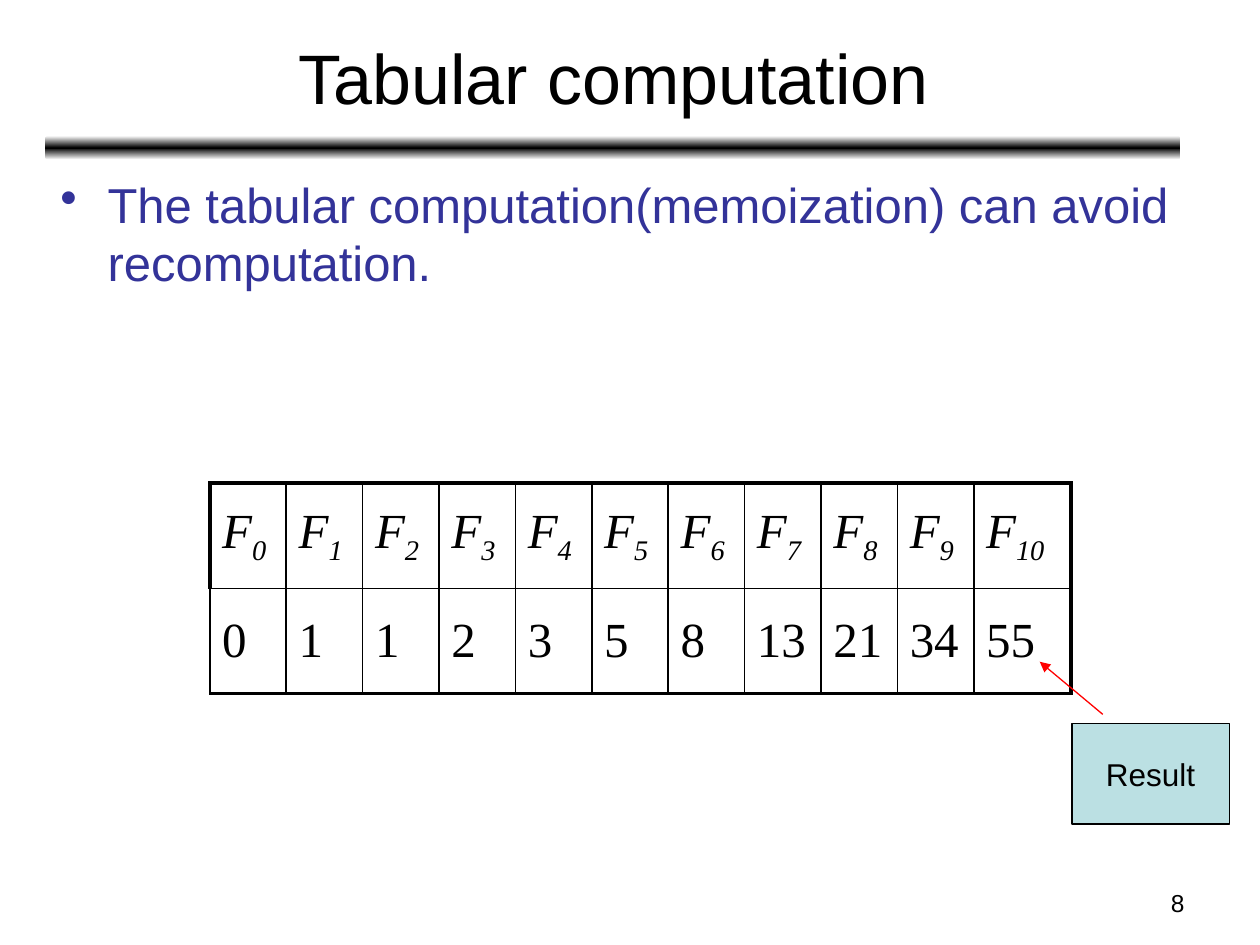
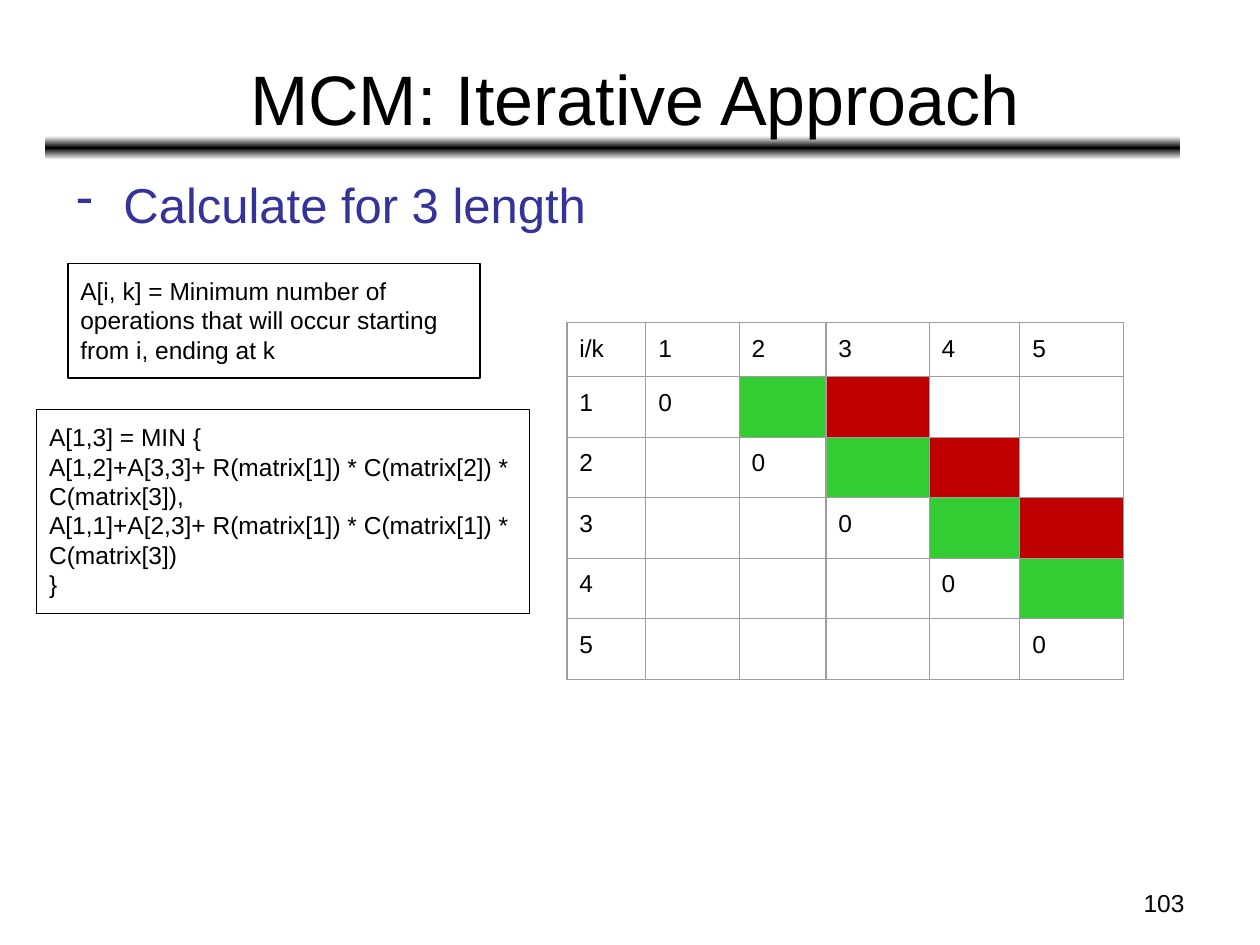
from copy import deepcopy

from lxml.etree import SubElement
from pptx import Presentation
from pptx.dml.color import RGBColor
from pptx.enum.shapes import MSO_CONNECTOR, MSO_SHAPE
from pptx.enum.text import MSO_ANCHOR, PP_ALIGN
from pptx.oxml.ns import qn
from pptx.util import Cm, Pt

COLORS = {
    "ink": "000000",
    "paper": "FFFFFF",
    "body": "333399",
    "result": "BBE0E3",
    "arrow": "FF0000",
    "grid": "9E9E9E",
    "solved": "33CC33",
    "current": "C00000",
}
SANS, SERIF = "Arial", "Times New Roman"
BODY_BOX = (0.97, 3.38, 22.86, 14.1)


def color(name):
    return RGBColor.from_string(COLORS[name])


def style(paragraph, size, face=SANS, ink="ink", italic=False):
    paragraph.font.size = Pt(size)
    paragraph.font.name = face
    paragraph.font.italic = italic
    paragraph.font.color.rgb = color(ink)


def set_margins(holder, side, end):
    holder.margin_left = holder.margin_right = Cm(side)
    holder.margin_top = holder.margin_bottom = Cm(end)


def write(frame, lines, size, align=PP_ALIGN.LEFT, anchor=MSO_ANCHOR.TOP, inset=0.13):
    frame.word_wrap = True
    frame.vertical_anchor = anchor
    set_margins(frame, 0.25, inset)
    for number, line in enumerate(lines):
        paragraph = frame.add_paragraph() if number else frame.paragraphs[0]
        paragraph.text = line
        paragraph.alignment = align
        style(paragraph, size)


def add_text(slide, box, line, size, **layout):
    frame = slide.shapes.add_textbox(*map(Cm, box)).text_frame
    write(frame, [line], size, **layout)
    return frame.paragraphs[0]


def add_band(slide, box):
    band = slide.shapes.add_shape(MSO_SHAPE.ROUNDED_RECTANGLE, *map(Cm, box))
    band.shadow.inherit = False
    band.line.fill.background()
    band.fill.gradient()
    band.fill.gradient_angle = 90
    first = band._element.spPr.find(".//" + qn("a:gs"))
    first.addnext(deepcopy(first))
    for stop, position, shade in zip(
        band.fill.gradient_stops, (0, 0.5, 1), ("paper", "ink", "paper")
    ):
        stop.position = position
        stop.color.rgb = color(shade)


def add_frame(slide, title, title_corner, page):
    add_band(slide, (0.91, 2.74, 22.89, 0.48))
    add_text(slide, (*title_corner, 22.86, 2.51), title, 40,
             align=PP_ALIGN.CENTER, anchor=MSO_ANCHOR.MIDDLE)
    add_text(slide, (18.21, 17.78, 5.92, 0.89), page, 14, align=PP_ALIGN.RIGHT)


def add_bullet(slide, box, line, mark, indent):
    paragraph = add_text(slide, box, line, 28)
    properties = paragraph._p.get_or_add_pPr()
    properties.set("marL", str(Cm(indent)))
    properties.set("indent", str(Cm(-0.95)))
    bullet = properties.makeelement(qn("a:buChar"), {"char": mark})
    properties.insert(0, bullet)
    style(paragraph, 28, ink="body")


def add_panel(slide, box, lines, size, fill=None, **layout):
    panel = slide.shapes.add_shape(MSO_SHAPE.RECTANGLE, *map(Cm, box))
    panel.shadow.inherit = False
    if fill:
        panel.fill.solid()
        panel.fill.fore_color.rgb = color(fill)
    else:
        panel.fill.background()
    panel.line.color.rgb = color("ink")
    panel.line.width = Pt(0.75)
    write(panel.text_frame, lines, size, **layout)


def add_arrow(slide, start, end):
    arrow = slide.shapes.add_connector(MSO_CONNECTOR.STRAIGHT, *map(Cm, start + end))
    arrow.line.color.rgb = color("arrow")
    arrow.line.width = Pt(0.75)
    SubElement(arrow.line._get_or_add_ln(), qn("a:tailEnd"), type="triangle")
    SubElement(arrow._element.spPr, qn("a:effectLst"))


def add_grid(slide, corner, widths, heights):
    size = sum(widths), sum(heights)
    table = slide.shapes.add_table(
        len(heights), len(widths), *map(Cm, corner + size)
    ).table
    table.first_row = table.horz_banding = False
    for column, width in zip(table.columns, widths):
        column.width = Cm(width)
    for row, height in zip(table.rows, heights):
        row.height = Cm(height)
    for cell in table.iter_cells():
        cell.fill.background()
    return table


def set_borders(cell, shade, widths):
    properties = cell._tc.get_or_add_tcPr()
    for position, (side, width) in enumerate(zip("LRTB", widths)):
        edge = properties.makeelement(qn(f"a:ln{side}"), {"w": str(Pt(width))})
        fill = SubElement(edge, qn("a:solidFill"))
        SubElement(fill, qn("a:srgbClr"), val=COLORS[shade])
        properties.insert(position, edge)


def add_fibonacci_table(slide, corner):
    values = [0, 1]
    while len(values) < 11:
        values.append(values[-2] + values[-1])
    last = len(values) - 1
    table = add_grid(slide, corner, [1.54] * last + [1.96], [2.12] * 2)
    thin, thick = 1, 2.25
    for column, value in enumerate(values):
        right = thick if column == last else thin
        name, number = table.cell(0, column), table.cell(1, column)
        set_borders(name, "ink", (thin if column else thick, right, thick, thin))
        set_borders(number, "ink", (thin, right, thin, thick))
        term = name.text_frame.paragraphs[0]
        term.add_run().text = "F"
        index = term.add_run()
        index.text = str(column)
        index.font._element.set("baseline", "-25000")
        number.text = str(value)
        for cell in (name, number):
            cell.vertical_anchor = MSO_ANCHOR.MIDDLE
            set_margins(cell, 0.25, 0.13)
            style(cell.text_frame.paragraphs[0], 28, SERIF, italic=cell is name)


def add_cost_table(slide, corner):
    widths = [1.59, 1.88, 1.75, 2.08, 1.83, 2.09]
    table = add_grid(slide, corner, widths, [1.07] + [1.22] * 5)
    diagonals = {1: "solved", 2: "current"}
    for row in range(6):
        for column in range(6):
            cell = table.cell(row, column)
            set_borders(cell, "grid", [0.75] * 4)
            if row == 0 or column == 0:
                label = str(row + column) if row + column else "i/k"
            else:
                label = "0" if row == column else ""
                if column - row in diagonals:
                    cell.fill.solid()
                    cell.fill.fore_color.rgb = color(diagonals[column - row])
            if label:
                cell.text = label
                set_margins(cell, 0.25, 0.25)
                style(cell.text_frame.paragraphs[0], 14)


def build_tabular(slide):
    add_frame(slide, "Tabular computation", (0.94, 0.28), "8")
    add_bullet(slide, BODY_BOX,
               "The tabular computation(memoization) can avoid recomputation.",
               "•", 0.95)
    add_fibonacci_table(slide, (4.23, 9.74))
    add_arrow(slide, (22.23, 14.4), (20.96, 13.34))
    add_panel(slide, (21.61, 14.58, 3.17, 2.03), ["Result"], 18, fill="result",
              align=PP_ALIGN.CENTER, anchor=MSO_ANCHOR.MIDDLE)


def build_iterative(slide):
    add_frame(slide, "MCM: Iterative Approach", (1.37, 0.71), "103")
    add_bullet(slide, BODY_BOX, "Calculate for 3 length", "-", 1.27)
    add_cost_table(slide, (11.43, 6.5))
    add_panel(slide, (1.37, 5.31, 8.31, 2.31), [
        "A[i, k] = Minimum number of operations that will occur starting "
        "from i, ending at k",
    ], 14, inset=0.25)
    add_panel(slide, (0.74, 8.26, 9.93, 4.11), [
        "A[1,3] = MIN {",
        "A[1,2]+A[3,3]+ R(matrix[1]) * C(matrix[2]) * C(matrix[3]),",
        "A[1,1]+A[2,3]+ R(matrix[1]) * C(matrix[1]) * C(matrix[3])",
        "}",
    ], 14, inset=0.25)


def main():
    deck = Presentation()
    deck.slide_width, deck.slide_height = Cm(25.4), Cm(19.05)
    for build in (build_tabular, build_iterative):
        build(deck.slides.add_slide(deck.slide_layouts[6]))
    deck.save("out.pptx")


if __name__ == "__main__":
    main()
